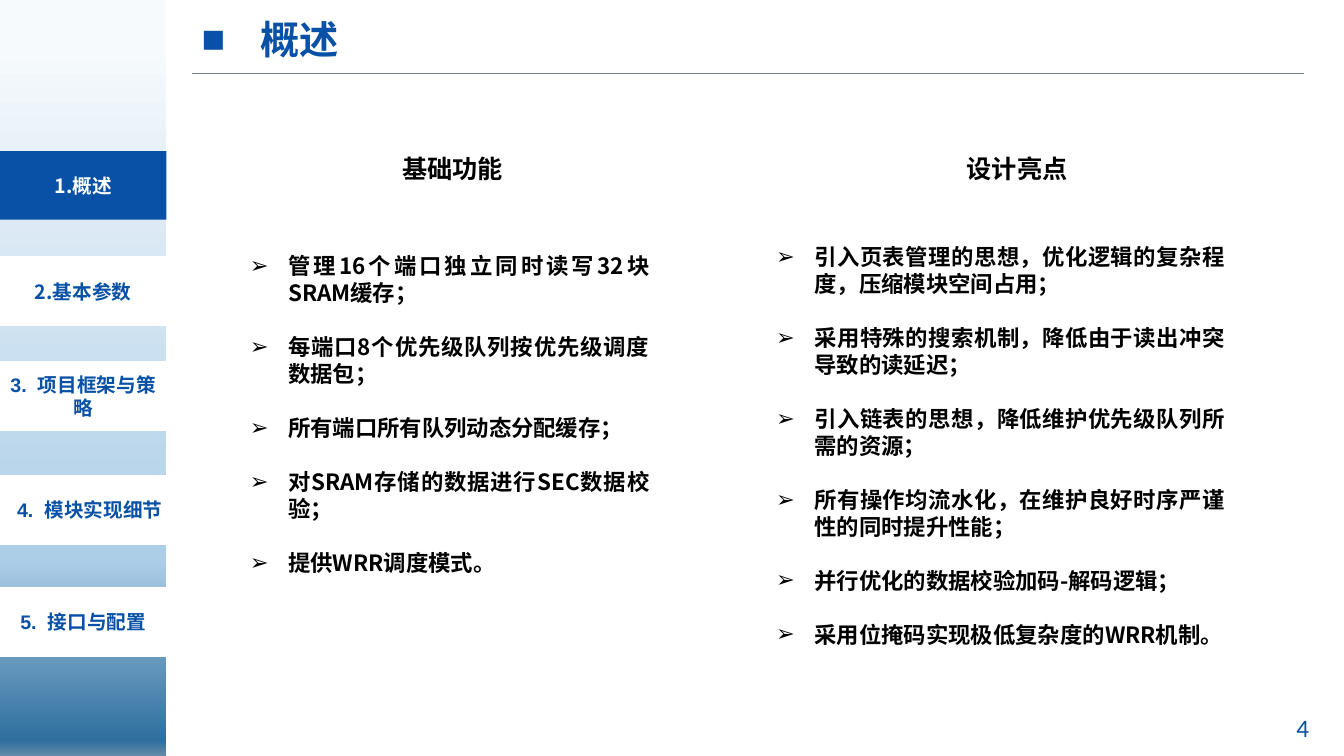
from dataclasses import dataclass

from lxml.etree import SubElement
from pptx import Presentation
from pptx.dml.color import RGBColor
from pptx.enum.shapes import MSO_CONNECTOR, MSO_SHAPE
from pptx.enum.text import MSO_ANCHOR, MSO_AUTO_SIZE, PP_ALIGN
from pptx.oxml.ns import qn
from pptx.util import Inches, Pt


@dataclass(frozen=True)
class Theme:
    blue: str = "0851A6"
    white: str = "FFFFFF"
    black: str = "000000"
    rule: str = "778495"
    sky: tuple = ((6, "F6FAFC"), (40, "D2E4F2"), (74, "ADCEE7"), (98, "2F6F9E"), (100, "668CA8"))
    chinese: str = "Noto Sans CJK SC"
    latin: str = "Arial"
    number: str = "Calibri"
    title_size: int = 28
    heading_size: int = 18
    body_size: int = 16
    menu_size: int = 14
    leading: float = 1.205


THEME = Theme()

SECTIONS = [
    ("1.", "概述", 1.5, 1.65, THEME.chinese),
    ("2.", "基本参数", 2.55, 1.65, THEME.chinese),
    ("3.", "项目框架与策略", 3.59, 1.65, THEME.latin),
    ("4.", "模块实现细节", 4.72, 1.78, THEME.latin),
    ("5.", "接口与配置", 5.83, 1.65, THEME.latin),
]
CURRENT_SECTION = "1."

FUNCTIONS = [
    "管理16个端口独立同时读写32块SRAM缓存；",
    "每端口8个优先级队列按优先级调度数据包；",
    "所有端口所有队列动态分配缓存；",
    "对SRAM存储的数据进行SEC数据校验；",
    "提供WRR调度模式。",
]
HIGHLIGHTS = [
    "引入页表管理的思想，优化逻辑的复杂程度，压缩模块空间占用；",
    "采用特殊的搜索机制，降低由于读出冲突导致的读延迟；",
    "引入链表的思想，降低维护优先级队列所需的资源；",
    "所有操作均流水化，在维护良好时序严谨性的同时提升性能；",
    "并行优化的数据校验加码-解码逻辑；",
    "采用位掩码实现极低复杂度的WRR机制。",
]


def color(code):
    return RGBColor.from_string(code)


def add_span(para, text, size, code, font=THEME.chinese, bold=True):
    span = para.add_run()
    span.text = text
    span.font.size = Pt(size)
    span.font.bold = bold
    span.font.name = font
    span.font.color.rgb = color(code)
    SubElement(span.font._element, qn("a:ea")).set("typeface", THEME.chinese)
    return span


def add_bullet(para, mark, indent, hang):
    properties = para._p.get_or_add_pPr()
    properties.set("marL", str(Inches(indent)))
    properties.set("indent", str(-Inches(hang)))
    SubElement(properties, qn("a:buFont")).set("typeface", THEME.latin)
    SubElement(properties, qn("a:buChar")).set("char", mark)


def add_text_box(page, left, top, width, height):
    box = page.shapes.add_textbox(Inches(left), Inches(top), Inches(width), Inches(height))
    box.text_frame.word_wrap = True
    return box.text_frame


def add_block(page, left, top, width, height):
    block = page.shapes.add_shape(
        MSO_SHAPE.RECTANGLE, Inches(left), Inches(top), Inches(width), Inches(height))
    block.shadow.inherit = False
    block.line.fill.background()
    return block


def fill_sky(block):
    block.fill.gradient()
    block.fill.gradient_angle = 270
    stops = block._element.spPr.find(qn("a:gradFill")).find(qn("a:gsLst"))
    for stop in list(stops):
        stops.remove(stop)
    for position, code in THEME.sky:
        stop = SubElement(stops, qn("a:gs"))
        stop.set("pos", str(position * 1000))
        SubElement(stop, qn("a:srgbClr")).set("val", code)


def add_menu_item(page, left, top, width, height, number, name, font):
    current = number == CURRENT_SECTION
    block = add_block(page, left, top, width, height)
    block.fill.solid()
    block.fill.fore_color.rgb = color(THEME.blue if current else THEME.white)
    if not current:
        block.line.color.rgb = color(THEME.white)
        block.line.width = Pt(1)
    frame = block.text_frame
    frame.word_wrap = True
    frame.vertical_anchor = MSO_ANCHOR.MIDDLE
    para = frame.paragraphs[0]
    para.alignment = PP_ALIGN.CENTER
    para.line_spacing = Pt(THEME.menu_size * THEME.leading)
    ink = THEME.white if current else THEME.blue
    add_span(para, number, THEME.menu_size, ink, font)
    if font == THEME.latin:
        gap = add_span(para, " ", THEME.menu_size, ink, font)
        gap.font._element.set("spc", "400")
    add_span(para, name, THEME.menu_size, ink, font)


def add_sidebar(page, left, top, width, height):
    fill_sky(add_block(page, left, top, width, height))
    for number, name, offset, item_width, font in SECTIONS:
        add_menu_item(page, left, top + offset, item_width, 0.68, number, name, font)


def add_header(page, left, top, width, text):
    title = page.shapes.title
    title.left, title.top = Inches(left), Inches(top)
    title.width, title.height = Inches(4.92), Inches(0.64)
    frame = title.text_frame
    frame.auto_size = MSO_AUTO_SIZE.NONE
    frame.vertical_anchor = MSO_ANCHOR.BOTTOM
    frame.margin_bottom = Inches(0.02)
    para = frame.paragraphs[0]
    para.alignment = PP_ALIGN.LEFT
    add_bullet(para, "■", 0.58, 0.58)
    add_span(para, text, THEME.title_size, THEME.blue, THEME.latin)

    rule_top = Inches(top + 0.73)
    rule = page.shapes.add_connector(
        MSO_CONNECTOR.STRAIGHT, Inches(left), rule_top, Inches(left + width), rule_top)
    rule.line.color.rgb = color(THEME.rule)
    rule.line.width = Pt(1.25)
    SubElement(rule._element.spPr, qn("a:effectLst"))


def add_heading(page, left, top, text):
    para = add_text_box(page, left, top, 1.68, 0.71).paragraphs[0]
    para.line_spacing = Pt(THEME.heading_size * THEME.leading)
    add_span(para, text, THEME.heading_size, THEME.black)


def add_points(page, left, top, width, height, points):
    frame = add_text_box(page, left, top, width, height)
    frame.margin_top = Inches(0.32)
    line = Pt(THEME.body_size * THEME.leading)
    for index, point in enumerate(points):
        para = frame.add_paragraph() if index else frame.paragraphs[0]
        para.alignment = PP_ALIGN.JUSTIFY
        para.line_spacing = line
        para.space_before = line if index else Pt(0)
        add_bullet(para, "➢", 0.38, 0.38)
        add_span(para, point, THEME.body_size, THEME.black)


def add_page_number(page, left, top, text):
    para = add_text_box(page, left, top, 0.34, 0.4).paragraphs[0]
    add_span(para, text, 18, THEME.blue, THEME.number, bold=False)


def main():
    deck = Presentation()
    deck.slide_width, deck.slide_height = Inches(13.33), Inches(7.5)
    page = deck.slides.add_slide(deck.slide_layouts[5])
    add_sidebar(page, 0, 0, 1.65, 7.5)
    add_header(page, 1.9, 0, 11.03, "概述")
    add_heading(page, 3.89, 1.47, "基础功能")
    add_points(page, 2.38, 2.18, 4.16, 4.09, FUNCTIONS)
    add_heading(page, 9.49, 1.47, "设计亮点")
    add_points(page, 7.6, 2.09, 4.65, 4.68, HIGHLIGHTS)
    add_page_number(page, 12.76, 7.02, "4")
    deck.save("out.pptx")


if __name__ == "__main__":
    main()
